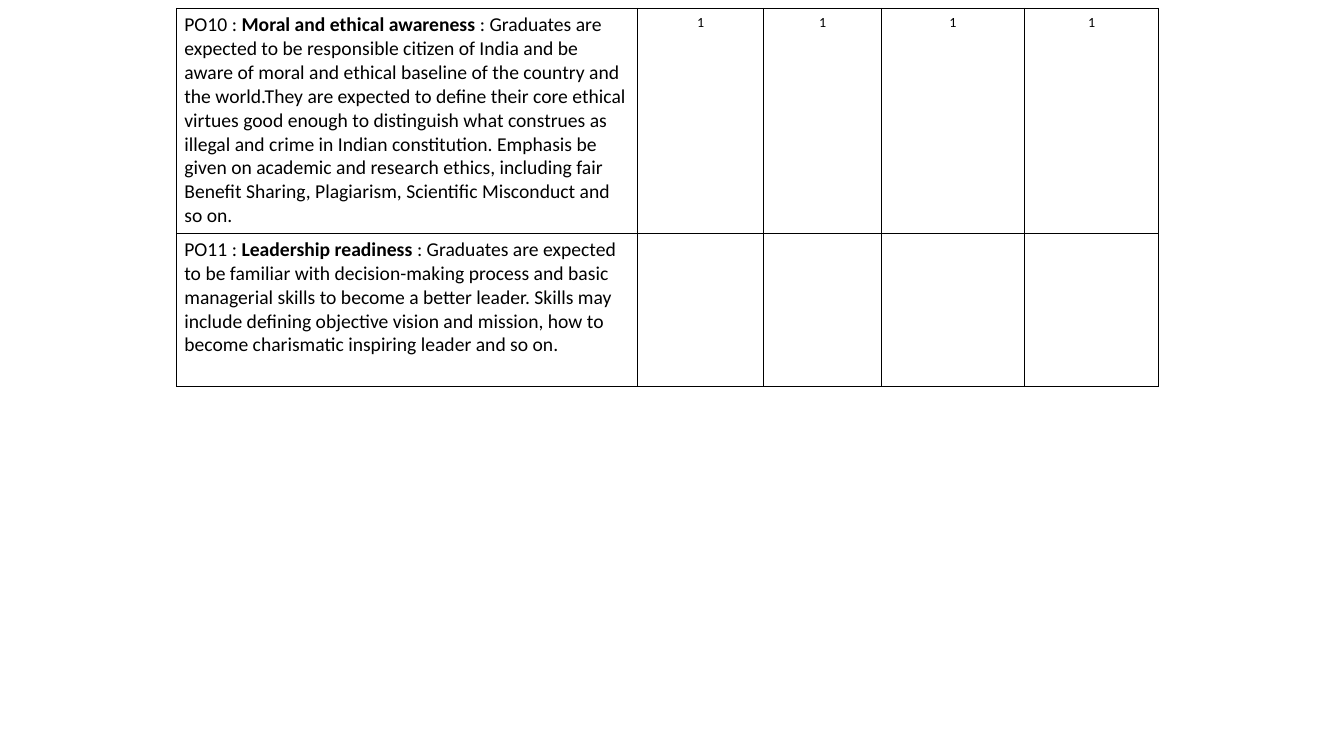
from lxml.etree import SubElement
from pptx import Presentation
from pptx.dml.color import RGBColor
from pptx.enum.text import PP_ALIGN as Align
from pptx.oxml.ns import qn
from pptx.util import Inches, Pt

BLACK = RGBColor(0, 0, 0)
FONT = "Calibri"
BORDER_WIDTH = Pt(0.45)
COLUMN_WIDTHS = [4.58, 1.25, 1.17, 1.42, 1.33]
ROW_HEIGHTS = [2.23, 1.52]

OUTCOMES = [
    ("PO10", "Moral and ethical awareness",
     "Graduates are expected to be responsible citizen of India and be aware of moral "
     "and ethical baseline of the country and the world.They are expected to define "
     "their core ethical virtues good enough to distinguish what construes as illegal "
     "and crime in Indian constitution. Emphasis be given on academic and research "
     "ethics, including fair Benefit Sharing, Plagiarism, Scientific Misconduct and "
     "so on.", ["1", "1", "1", "1"]),
    ("PO11", "Leadership readiness",
     "Graduates are expected to be familiar with decision-making process and basic "
     "managerial skills to become a better leader. Skills may include defining "
     "objective vision and mission, how to become charismatic inspiring leader and "
     "so on.", ["", "", "", ""]),
]


def add_text(para, text, size=14, bold=False):
    span = para.add_run()
    span.text = text
    span.font.name = FONT
    span.font.size = Pt(size)
    span.font.bold = bold
    span.font.color.rgb = BLACK


def format_cell(cell):
    """Give the cell its margins, thin black borders and no fill."""
    cell.margin_left = cell.margin_right = Inches(0.08)
    cell.margin_top = cell.margin_bottom = Inches(0.05)
    properties = cell._tc.get_or_add_tcPr()
    for side in ("a:lnL", "a:lnR", "a:lnT", "a:lnB"):
        line = SubElement(properties, qn(side), w=str(int(BORDER_WIDTH)))
        fill = SubElement(line, qn("a:solidFill"))
        SubElement(fill, qn("a:srgbClr"), val=str(BLACK))
    cell.fill.background()


def fill_outcome(cell, code, name, description):
    para = cell.text_frame.paragraphs[0]
    add_text(para, f"{code} : ")
    add_text(para, name, bold=True)
    add_text(para, f" : {description}")


def fill_score(cell, score):
    para = cell.text_frame.paragraphs[0]
    para.alignment = Align.CENTER
    para.line_spacing = 1.07
    para.space_after = Pt(8)
    add_text(para, score, size=10)


def add_outcome_table(slide, left, top):
    table = slide.shapes.add_table(
        len(ROW_HEIGHTS), len(COLUMN_WIDTHS), Inches(left), Inches(top),
        Inches(sum(COLUMN_WIDTHS)), Inches(sum(ROW_HEIGHTS))).table
    table.first_row = table.horz_banding = False
    for column, width in zip(table.columns, COLUMN_WIDTHS):
        column.width = Inches(width)
    for row, height, outcome in zip(table.rows, ROW_HEIGHTS, OUTCOMES):
        row.height = Inches(height)
        code, name, description, scores = outcome
        for cell in row.cells:
            format_cell(cell)
        fill_outcome(row.cells[0], code, name, description)
        for column, score in enumerate(scores, start=1):
            if score:
                fill_score(row.cells[column], score)


def main():
    deck = Presentation()
    deck.slide_width, deck.slide_height = Inches(13.34), Inches(7.5)
    slide = deck.slides.add_slide(deck.slide_layouts[6])
    add_outcome_table(slide, left=1.75, top=0.08)
    deck.save("out.pptx")


if __name__ == "__main__":
    main()
